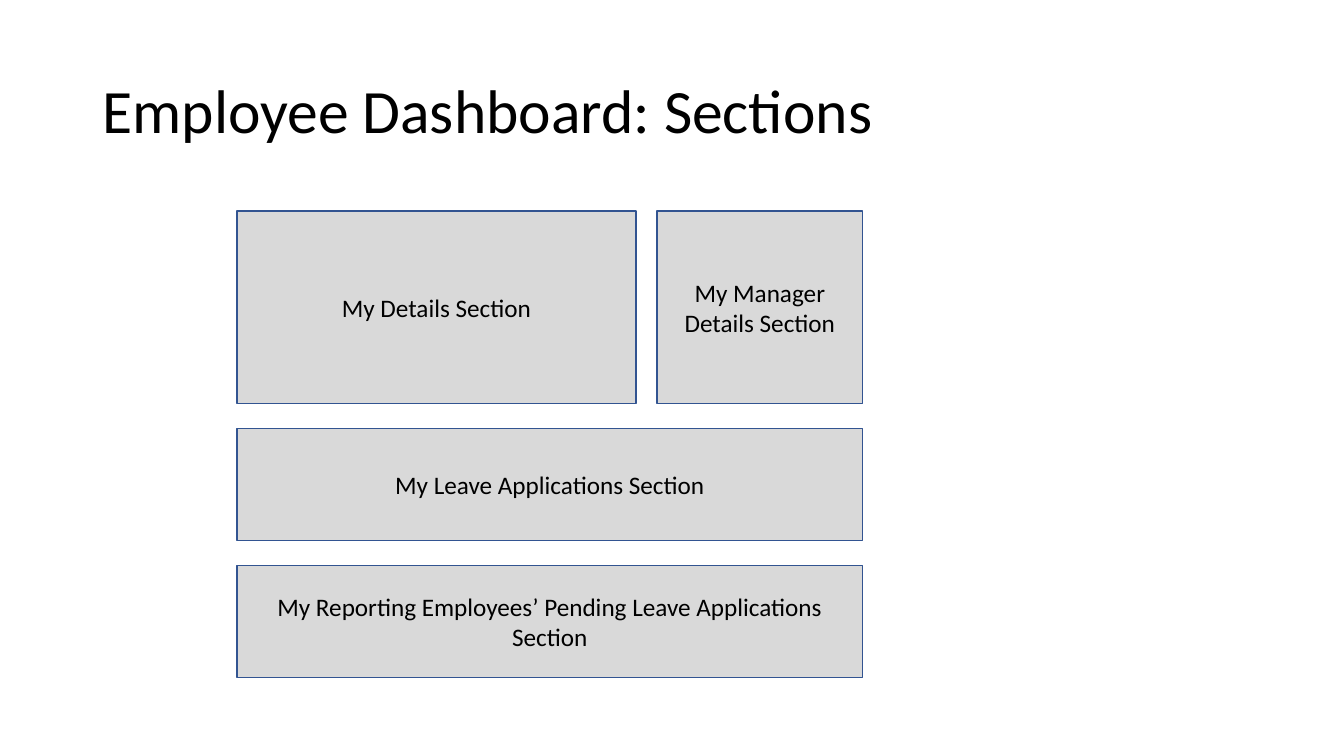
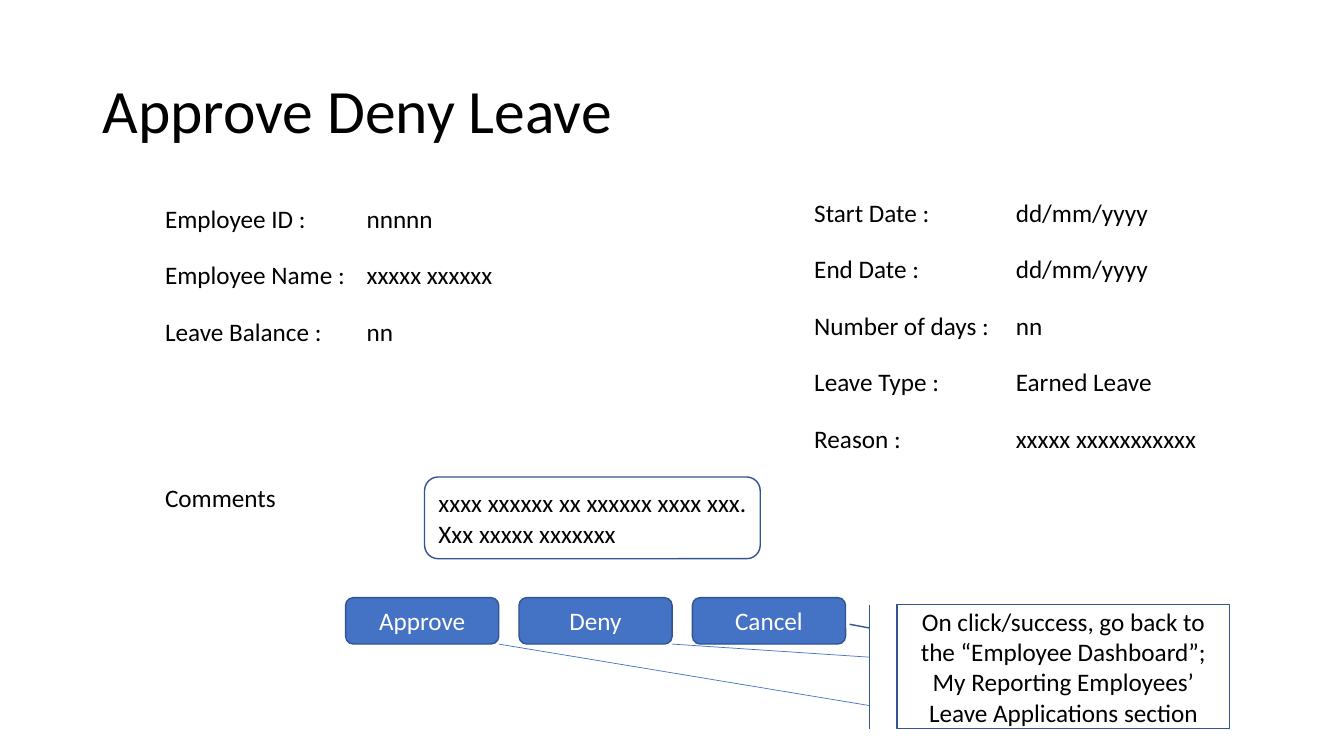
import pptx
import pptx.dml.color
import pptx.enum.shapes
import pptx.enum.text
import pptx.oxml.ns
import pptx.util
import lxml.etree

Cm = pptx.util.Cm
Pt = pptx.util.Pt
SHAPES = pptx.enum.shapes.MSO_SHAPE
ALIGN = pptx.enum.text.PP_ALIGN
ANCHOR = pptx.enum.text.MSO_ANCHOR
qn = pptx.oxml.ns.qn

COLORS = {
    "text": "000000",
    "button_text": "FFFFFF",
    "section": "D9D9D9",
    "button": "4472C4",
    "outline": "325491",
}
FONT = "Calibri"
TITLE_BOX = (2.33, 1.02, 29.21, 3.68)

SECTIONS_TITLE = "Employee Dashboard: Sections"
SECTION_ROWS = [
    (4.85, ["My Details Section", "My Manager Details Section"]),
    (2.82, ["My Leave Applications Section"]),
    (2.82, ["My Reporting Employees’ Pending Leave Applications Section"]),
]
SECTIONS_LEFT, SECTIONS_TOP, SECTIONS_WIDTH = 5.97, 5.32, 15.77
SECTION_GAP_X, SECTION_GAP_Y = 0.53, 0.63
FIRST_SECTION_SHARE = 0.66

APPROVAL_TITLE = "Approve Deny Leave"
EMPLOYEE_FIELDS = [
    ("Employee ID :", "nnnnn"),
    ("Employee Name :", "xxxxx xxxxxx"),
    ("Leave Balance :", "nn"),
]
LEAVE_FIELDS = [
    ("Start Date :", "dd/mm/yyyy"),
    ("End Date :", "dd/mm/yyyy"),
    ("Number of days :", "nn"),
    ("Leave Type :", "Earned Leave"),
    ("Reason :", "xxxxx xxxxxxxxxxx"),
]
EMPLOYEE_LEFT, EMPLOYEE_TOP = 3.91, 5.0
LEAVE_LEFT, LEAVE_TOP = 20.27, 4.85
FIELD_STEP, FIELD_WIDTH, FIELD_HEIGHT = 1.42, 11.2, 1.02
VALUE_TAB = 5.08

COMMENTS_LABEL = "Comments"
COMMENTS_TOP = 12.04
COMMENT_TEXT = "xxxx xxxxxx xx xxxxxx xxxx xxx. Xxx xxxxx xxxxxxx"
COMMENT_BOX = (10.7, 12.02, 8.46, 2.06)

BUTTONS = ["Approve", "Deny", "Cancel"]
BUTTON_LEFT, BUTTON_TOP = 8.71, 15.06
BUTTON_WIDTH, BUTTON_HEIGHT, BUTTON_GAP = 3.86, 1.17, 0.51

CALLOUT_TEXT = (
    "On click/success, go back to the “Employee Dashboard”; "
    "My Reporting Employees’ Leave Applications section"
)
CALLOUT_BOX = (22.61, 15.24, 8.38, 3.12)
CALLOUT_ADJUSTMENTS = (0.188, -0.083, 0.158, -0.143)
LINK_END_TOPS = {"Approve": 17.78, "Deny": 16.56}


def get_color(name):
    return pptx.dml.color.RGBColor.from_string(COLORS[name])


def write_text(shape, text, size=18, text_color="text", align=ALIGN.LEFT,
               anchor=ANCHOR.MIDDLE, line_spacing=None, tab=None):
    frame = shape.text_frame
    frame.word_wrap = True
    frame.vertical_anchor = anchor
    paragraph = frame.paragraphs[0]
    paragraph.alignment = align
    paragraph.line_spacing = line_spacing
    run = paragraph.add_run()
    run.text = text
    run.font.name = FONT
    run.font.size = Pt(size)
    run.font.color.rgb = get_color(text_color)
    if tab:
        properties = paragraph._p.get_or_add_pPr()
        tab_list = lxml.etree.SubElement(properties, qn("a:tabLst"))
        lxml.etree.SubElement(tab_list, qn("a:tab"), pos=str(Cm(tab)), algn="l")


def add_box(slide, kind, box, text, fill=None, align=ALIGN.CENTER,
            text_color="text"):
    shape = slide.shapes.add_shape(kind, *map(Cm, box))
    shape.shadow.inherit = False
    if fill:
        shape.fill.solid()
        shape.fill.fore_color.rgb = get_color(fill)
    else:
        shape.fill.background()
    shape.line.color.rgb = get_color("outline")
    shape.line.width = Pt(1)
    write_text(shape, text, align=align, text_color=text_color)
    return shape


def add_label(slide, left, top, text, tab=None):
    label = slide.shapes.add_textbox(
        Cm(left), Cm(top), Cm(FIELD_WIDTH), Cm(FIELD_HEIGHT))
    write_text(label, text, anchor=ANCHOR.TOP, tab=tab)
    label.text_frame.auto_size = pptx.enum.text.MSO_AUTO_SIZE.SHAPE_TO_FIT_TEXT


def add_link(slide, start, end):
    connector = slide.shapes.add_connector(
        pptx.enum.shapes.MSO_CONNECTOR.STRAIGHT, *map(Cm, start + end))
    connector.line.color.rgb = get_color("button")
    connector.line.width = Pt(0.5)
    lxml.etree.SubElement(connector._element.spPr, qn("a:effectLst"))


def add_titled_slide(presentation, layout, title):
    slide = presentation.slides.add_slide(layout)
    write_text(slide.shapes.title, title, size=44, line_spacing=0.9)
    return slide


def split_row(names):
    if len(names) == 1:
        return [SECTIONS_WIDTH]
    available = SECTIONS_WIDTH - SECTION_GAP_X
    first = available * FIRST_SECTION_SHARE
    return [first, available - first]


def add_sections(slide):
    top = SECTIONS_TOP
    for height, names in SECTION_ROWS:
        left = SECTIONS_LEFT
        for name, width in zip(names, split_row(names)):
            box = (left, top, width, height)
            add_box(slide, SHAPES.RECTANGLE, box, name, fill="section")
            left += width + SECTION_GAP_X
        top += height + SECTION_GAP_Y


def add_fields(slide, left, top, fields):
    for row, (name, value) in enumerate(fields):
        add_label(slide, left, top + row * FIELD_STEP, f"{name}\t{value}",
                  tab=VALUE_TAB)


def add_comments(slide):
    add_label(slide, EMPLOYEE_LEFT, COMMENTS_TOP, COMMENTS_LABEL)
    add_box(slide, SHAPES.ROUNDED_RECTANGLE, COMMENT_BOX, COMMENT_TEXT,
            align=ALIGN.JUSTIFY)


def add_callout(slide):
    callout = add_box(slide, SHAPES.LINE_CALLOUT_1_BORDER_AND_ACCENT_BAR,
                      CALLOUT_BOX, CALLOUT_TEXT)
    for index, value in enumerate(CALLOUT_ADJUSTMENTS):
        callout.adjustments[index] = value


def add_buttons(slide):
    callout_left, _, callout_width, _ = CALLOUT_BOX
    accent_bar_left = callout_left + CALLOUT_ADJUSTMENTS[1] * callout_width
    for index, name in enumerate(BUTTONS):
        left = BUTTON_LEFT + index * (BUTTON_WIDTH + BUTTON_GAP)
        box = (left, BUTTON_TOP, BUTTON_WIDTH, BUTTON_HEIGHT)
        add_box(slide, SHAPES.ROUNDED_RECTANGLE, box, name, fill="button",
                text_color="button_text")
        if name in LINK_END_TOPS:
            corner = (left + BUTTON_WIDTH, BUTTON_TOP + BUTTON_HEIGHT)
            add_link(slide, corner, (accent_bar_left, LINK_END_TOPS[name]))


def main():
    presentation = pptx.Presentation()
    presentation.slide_width = Cm(33.87)
    presentation.slide_height = Cm(19.05)
    layout = presentation.slide_layouts.get_by_name("Title Only")
    title = layout.placeholders[0]
    title.left, title.top, title.width, title.height = map(Cm, TITLE_BOX)

    sections_slide = add_titled_slide(presentation, layout, SECTIONS_TITLE)
    add_sections(sections_slide)

    approval_slide = add_titled_slide(presentation, layout, APPROVAL_TITLE)
    add_fields(approval_slide, EMPLOYEE_LEFT, EMPLOYEE_TOP, EMPLOYEE_FIELDS)
    add_fields(approval_slide, LEAVE_LEFT, LEAVE_TOP, LEAVE_FIELDS)
    add_comments(approval_slide)
    add_callout(approval_slide)
    add_buttons(approval_slide)

    presentation.save("out.pptx")


if __name__ == "__main__":
    main()
